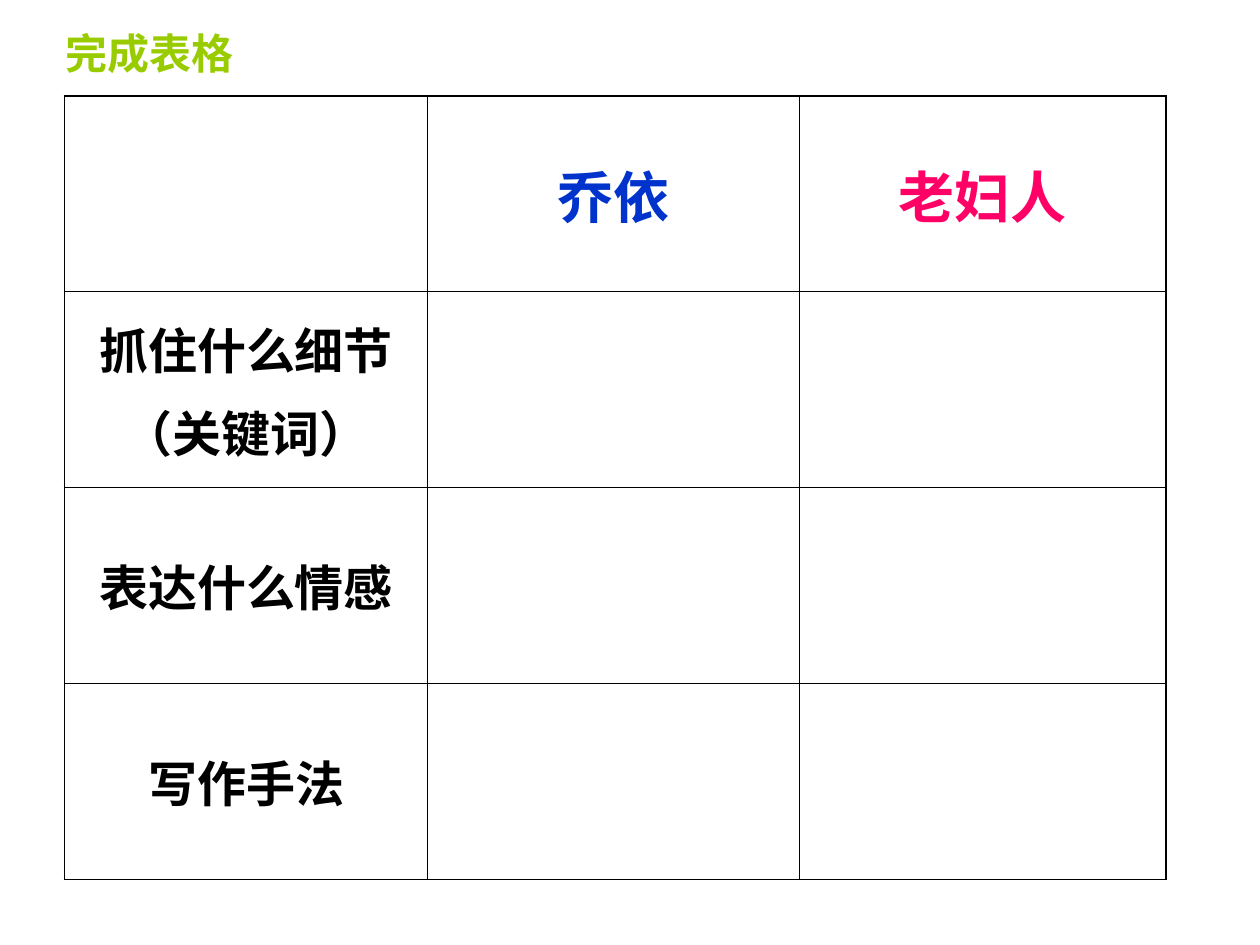
from dataclasses import dataclass

from lxml import etree
from pptx import Presentation
from pptx import util as u
from pptx.dml.color import RGBColor
from pptx.enum import text
from pptx.oxml import ns


@dataclass(frozen=True)
class Theme:
    font: str = "Arial"
    green: str = "99CC00"
    blue: str = "0033CC"
    pink: str = "FF0066"
    black: str = "000000"
    title: int = 24
    head: int = 32
    label: int = 28
    thick: float = 1.08
    thin: float = 0.45


theme = Theme()


def write(frame, words, size, color, align=text.PP_ALIGN.CENTER, gap=7):
    for i, line in enumerate(words.split("\n")):
        para = frame.paragraphs[0] if i == 0 else frame.add_paragraph()
        para.alignment = align
        para.space_before = u.Pt(gap if i else 0)
        run = para.add_run()
        run.text = line
        run.font.name = theme.font
        run.font.size = u.Pt(size)
        run.font.bold = True
        run.font.color.rgb = RGBColor.from_string(color)


def border(cell, widths):
    """Draw the left, right, top and bottom edges, with widths in points."""
    props = cell._tc.get_or_add_tcPr()
    for i, (side, width) in enumerate(zip("LRTB", widths)):
        line = etree.Element(ns.qn("a:ln" + side), w=str(int(u.Pt(width))))
        fill = etree.SubElement(line, ns.qn("a:solidFill"))
        etree.SubElement(fill, ns.qn("a:srgbClr"), val=theme.black)
        props.insert(i, line)


deck = Presentation()
deck.slide_width, deck.slide_height = u.Cm(25.4), u.Cm(19.05)
slide = deck.slides.add_slide(deck.slide_layouts[5])

title = slide.shapes.title
title.left, title.top = u.Cm(1.07), u.Cm(0.43)
title.width, title.height = u.Cm(6.15), u.Cm(1.27)
title.text_frame.vertical_anchor = text.MSO_ANCHOR.TOP
title.text_frame.auto_size = text.MSO_AUTO_SIZE.NONE
write(title.text_frame, "完成表格", theme.title, theme.green,
      align=text.PP_ALIGN.LEFT)

cols = [7.32, 7.49, 7.39]
rows, high = 4, 3.95
table = slide.shapes.add_table(
    rows, len(cols), u.Cm(1.3), u.Cm(1.93), u.Cm(sum(cols)), u.Cm(rows * high)
).table
table.first_row = table.horz_banding = False
for col, width in zip(table.columns, cols):
    col.width = u.Cm(width)

for r, row in enumerate(table.rows):
    row.height = u.Cm(high)
    for c, cell in enumerate(row.cells):
        cell.fill.background()
        cell.vertical_anchor = text.MSO_ANCHOR.MIDDLE
        edges = [c == 0, c == len(cols) - 1, r == 0, r == rows - 1]
        border(cell, [theme.thick if edge else theme.thin for edge in edges])

heads = [("乔依", theme.blue), ("老妇人", theme.pink)]
for c, (name, color) in enumerate(heads, 1):
    write(table.cell(0, c).text_frame, name, theme.head, color)

labels = ["抓住什么细节\n（关键词）", "表达什么情感", "写作手法"]
for r, label in enumerate(labels, 1):
    write(table.cell(r, 0).text_frame, label, theme.label, theme.black)

deck.save("out.pptx")
